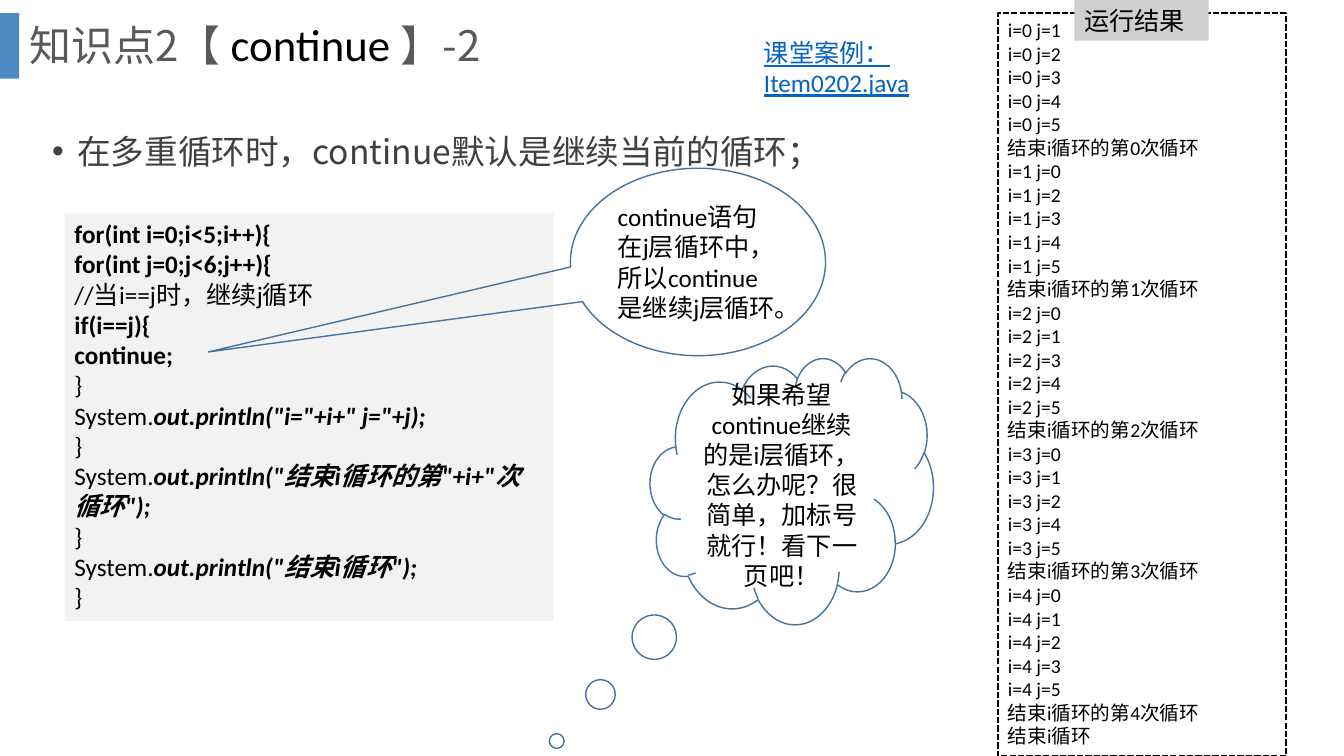
from pptx import Presentation
from pptx.dml.color import RGBColor
from pptx.enum.dml import MSO_LINE
from pptx.enum.shapes import MSO_SHAPE
from pptx.enum.text import MSO_ANCHOR, MSO_AUTO_SIZE, PP_ALIGN
from pptx.oxml.ns import qn
from pptx.util import Pt
from lxml import etree

RECT, ELLIPSE_CALLOUT, CLOUD = (
    MSO_SHAPE.RECTANGLE, MSO_SHAPE.OVAL_CALLOUT, MSO_SHAPE.CLOUD_CALLOUT)
TOP, MIDDLE = MSO_ANCHOR.TOP, MSO_ANCHOR.MIDDLE
LEFT, CENTER = PP_ALIGN.LEFT, PP_ALIGN.CENTER
NO_FIT = MSO_AUTO_SIZE.NONE
DOTTED = MSO_LINE.SQUARE_DOT

BLACK = RGBColor(0x00, 0x00, 0x00)
BLUE = RGBColor(0x2E, 0x75, 0xB6)
OUTLINE = RGBColor(0x43, 0x73, 0x9E)
LINK = RGBColor(0x05, 0x63, 0xC1)
TITLE_GREY = RGBColor(0x59, 0x59, 0x59)
BODY_GREY = RGBColor(0x40, 0x40, 0x40)
CODE_FILL = RGBColor(0xF2, 0xF2, 0xF2)
LABEL_FILL = RGBColor(0xD0, 0xCE, 0xCE)

LATIN, CJK = "Calibri", "Noto Sans CJK SC"
TEXT = {"name": LATIN, "size": Pt(18), "color": BLACK}
RESULT = {**TEXT, "size": Pt(14)}
LINKED = {**TEXT, "color": LINK, "underline": True}
BULLET = {"name": CJK, "size": Pt(24), "color": BODY_GREY}
TITLE = {"name": CJK, "size": Pt(30), "color": TITLE_GREY, "bold": False}
TITLE_WORD = {**TITLE, "name": LATIN, "size": Pt(32), "color": BLACK}
PLAIN = {**TEXT, "bold": False}
BOLD = {**TEXT, "bold": True}
BOLD_ITALIC = {**BOLD, "italic": True}

CODE = [
    [("for(int i=0;i<5;i++){", BOLD)],
    [("for(int j=0;j<6;j++){", BOLD)],
    [("//当i==j时，继续j循环", PLAIN)],
    [("if(i==j){", BOLD)],
    [("continue;", BOLD)],
    [("}", PLAIN)],
    [("System.", PLAIN), ('out.println("i="+i+" j="+j);', BOLD_ITALIC)],
    [("}", PLAIN)],
    [("System.", PLAIN), ('out.println("结束i循环的第"+i+"次循环");', BOLD_ITALIC)],
    [("}", PLAIN)],
    [("System.", PLAIN), ('out.println("结束i循环");', BOLD_ITALIC)],
    [("}", PLAIN)],
]


def add_run(p, text, fmt):
    """Append a run with the given format to a paragraph."""
    r = p.add_run()
    r.text = text
    for key, value in fmt.items():
        if key == "color":
            r.font.color.rgb = value
        else:
            setattr(r.font, key, value)
    ea = etree.Element(qn("a:ea"), typeface=CJK)
    r.font._element.find(qn("a:latin")).addnext(ea)


def fill_text(sp, lines, anchor=TOP, align=LEFT):
    """Write lines of (text, format) runs into a shape."""
    tf = sp.text_frame
    frame = {"word_wrap": True, "auto_size": NO_FIT, "vertical_anchor": anchor}
    for key, value in frame.items():
        setattr(tf, key, value)
    for i, line in enumerate(lines):
        p = tf.add_paragraph() if i else tf.paragraphs[0]
        p.alignment = align
        for text, fmt in line:
            add_run(p, text, fmt)
    return tf


def add_shape(slide, kind, box, fill=None, line=None, width=1):
    """Add a flat shape with an optional fill and outline."""
    sp = slide.shapes.add_shape(kind, *map(Pt, box))
    sp.shadow.inherit = False
    if fill is None:
        sp.fill.background()
    else:
        sp.fill.solid()
        sp.fill.fore_color.rgb = fill
    if line is None:
        sp.line.fill.background()
    else:
        sp.line.color.rgb = line
        sp.line.width = Pt(width)
    return sp


def add_title(slide, box):
    """Place the accent bar at the slide edge and the title beside it."""
    x, y, w, h = box
    bar = add_shape(slide, RECT, (x, y + 9.4, 13.7, 46.8), BLUE)
    color = bar.fill._xPr.find(qn("a:solidFill"))[0]
    etree.SubElement(color, qn("a:alpha"), val="85000")
    sp = slide.shapes.title
    place = {"left": x + 13.7, "top": y, "width": w - 13.7, "height": h}
    for key, value in place.items():
        setattr(sp, key, Pt(value))
    runs = [("知识点2【", TITLE), (" continue ", TITLE_WORD), ("】-2", TITLE)]
    fill_text(sp, [runs], MIDDLE).paragraphs[0].line_spacing = 0.9


def add_bullet(slide, box):
    """Add the bulleted statement."""
    sp = slide.shapes.add_textbox(*map(Pt, box))
    line = [("在多重循环时，continue默认是继续当前的循环；", BULLET)]
    p = fill_text(sp, [line]).paragraphs[0]
    p.line_spacing = 1.5
    pPr = p._p.get_or_add_pPr()
    pPr.set("marL", str(Pt(18)))
    pPr.set("indent", str(Pt(-18)))
    color = etree.SubElement(pPr, qn("a:buClr"))
    etree.SubElement(color, qn("a:srgbClr"), val=str(BODY_GREY))
    etree.SubElement(pPr, qn("a:buFont"), typeface="Arial")
    etree.SubElement(pPr, qn("a:buChar"), char="•")


def add_link(slide, box):
    """Add the reference to the class example."""
    sp = slide.shapes.add_textbox(*map(Pt, box))
    fill_text(sp, [[("课堂案例：Item0202.java", LINKED)]])


def add_code(slide, box):
    """Add the code listing on its grey panel."""
    fill_text(add_shape(slide, RECT, box, CODE_FILL), CODE)


def add_results(slide, box):
    """Add the dotted panel of program output with its label."""
    x, y, w, h = box
    lines = []
    for i in range(5):
        lines += [f"i={i} j={j}" for j in range(6) if j != i]
        lines.append(f"结束i循环的第{i}次循环")
    lines.append("结束i循环")
    panel = add_shape(slide, RECT, box, line=BLACK, width=1.5)
    panel.line.dash_style = DOTTED
    fill_text(panel, [[(line, RESULT)] for line in lines])
    label = add_shape(slide, RECT, (x + 54.7, y - 9.4, 95.8, 29), LABEL_FILL)
    fill_text(label, [[("运行结果", TEXT)]])


def add_callout(slide, kind, box, tip, text, align):
    """Add an outlined callout whose tip is relative to its size."""
    sp = add_shape(slide, kind, box, line=OUTLINE)
    for i, value in enumerate(tip):
        sp.adjustments[i] = value
    fill_text(sp, [[(text, TEXT)]], MIDDLE, align)


def main():
    """Build the slide and save it."""
    prs = Presentation()
    prs.slide_width, prs.slide_height = Pt(960), Pt(540)
    slide = prs.slides.add_slide(prs.slide_layouts[5])
    add_title(slide, (0, 0, 925.2, 67))
    add_bullet(slide, (30.2, 75.6, 867.6, 139.7))
    add_code(slide, (46.1, 152.6, 349.2, 290.9))
    add_results(slide, (712.8, 9.4, 205.9, 530.6))
    add_callout(slide, ELLIPSE_CALLOUT, (407.5, 120.2, 182.2, 133.9),
                (-1.92, 0.48),
                "continue语句在j层循环中，所以continue是继续j层循环。", LEFT)
    add_callout(slide, CLOUD, (464.4, 255.6, 202.3, 190.1), (-0.83, 0.94),
                "如果希望continue继续的是i层循环，怎么办呢？"
                "很简单，加标号就行！看下一页吧！", CENTER)
    add_link(slide, (538.6, 23, 164.2, 51.1))
    prs.save("out.pptx")


if __name__ == "__main__":
    main()
